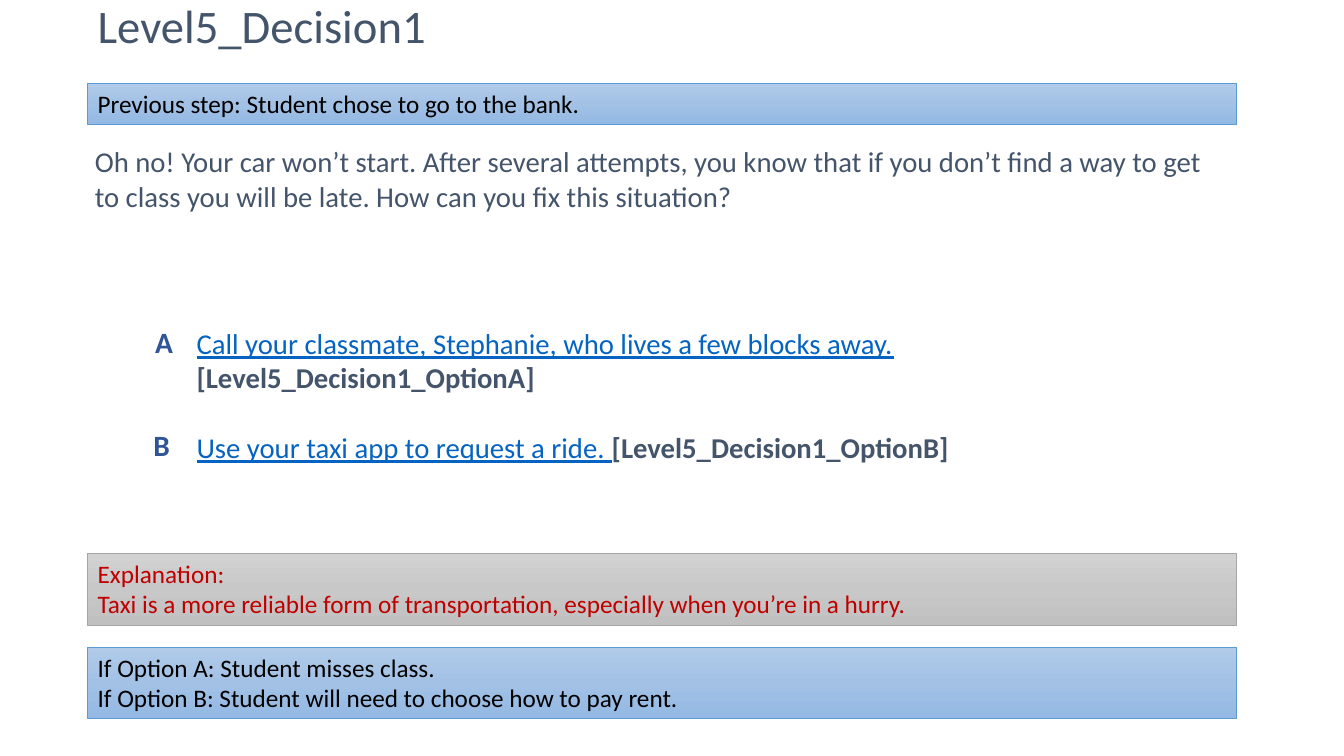
"""Build the Level5_Decision1 slide of a branching student scenario."""
from copy import deepcopy
from dataclasses import dataclass

from pptx import Presentation
from pptx import util as u
from pptx.dml.color import RGBColor
from pptx.enum import shapes, text
from pptx.oxml.ns import qn

COLORS = {
    "slate": "44546A", "link": "0563C1", "letter": "2F5597",
    "black": "000000", "red": "C00000",
    "blue_line": "5B9BD5", "gray_line": "A5A5A5",
}
GRADIENTS = {
    "blue": ("B1CBE9", "A3C1E5", "93B9E4"),
    "gray": ("D2D2D2", "C8C8C8", "C0C0C0"),
}
FONT = "Calibri"
LEFT, WIDTH = 0.87, 11.39
WIDE_INSETS = (0.13, 0.07)


@dataclass(frozen=True)
class Span:
    words: str
    color: str
    bold: bool = False
    underline: bool = False


@dataclass(frozen=True)
class Banner:
    top: float
    height: float
    theme: str
    color: str
    lines: tuple[str, ...]


@dataclass(frozen=True)
class Letter:
    label: str
    left: float
    top: float


BANNERS = (
    Banner(5.49, 0.71, "gray", "red", (
        "Explanation:",
        "Taxi is a more reliable form of transportation, especially when you’re in a hurry.")),
    Banner(6.42, 0.71, "blue", "black", (
        "If Option A: Student misses class.",
        "If Option B: Student will need to choose how to pay rent.")),
    Banner(0.83, 0.4, "blue", "black", (
        "Previous step: Student chose to go to the bank.",)),
)
LETTERS = (Letter("A", 1.41, 3.15), Letter("B", 1.39, 4.17))
OPTIONS = (
    (Span("Call your classmate, Stephanie, who lives a few blocks away.", "link", underline=True),
     Span(" ", "slate"),
     Span("[Level5_Decision1_OptionA]", "slate", bold=True)),
    (Span("Use your taxi app to request a ride. ", "link", underline=True),
     Span("[Level5_Decision1_OptionB]", "slate", bold=True)),
)


def rgb(name: str) -> RGBColor:
    return RGBColor.from_string(COLORS.get(name, name))


def write(holder, paragraphs, *, size: float, insets=(0.1, 0.05),
          anchor=text.MSO_ANCHOR.TOP, gap: float = 0, line_spacing: float = 1.0) -> None:
    frame = holder.text_frame
    frame.word_wrap = True
    frame.vertical_anchor = anchor
    frame.margin_left = frame.margin_right = u.Inches(insets[0])
    frame.margin_top = frame.margin_bottom = u.Inches(insets[1])
    for index, spans in enumerate(paragraphs):
        paragraph = frame.add_paragraph() if index else frame.paragraphs[0]
        paragraph.alignment = text.PP_ALIGN.LEFT
        paragraph.line_spacing = line_spacing
        if index and gap:
            paragraph.space_before = u.Pt(gap)
        for span in spans:
            run = paragraph.add_run()
            run.text = span.words
            run.font.name = FONT
            run.font.size = u.Pt(size)
            run.font.bold = span.bold
            run.font.underline = span.underline
            run.font.color.rgb = rgb(span.color)


def add_text(slide, left: float, top: float, width: float, height: float,
             paragraphs, **style) -> None:
    box = slide.shapes.add_textbox(*map(u.Inches, (left, top, width, height)))
    write(box, paragraphs, **style)


def add_banner(slide, banner: Banner) -> None:
    bar = slide.shapes.add_shape(
        shapes.MSO_SHAPE.RECTANGLE,
        *map(u.Inches, (LEFT, banner.top, WIDTH, banner.height)))
    bar.shadow.inherit = False
    bar.fill.gradient()
    bar.fill.gradient_angle = 270
    first_stop = next(bar._element.iter(qn("a:gs")))
    first_stop.addnext(deepcopy(first_stop))
    for stop, position, color in zip(bar.fill.gradient_stops, (0, 0.5, 1),
                                     GRADIENTS[banner.theme]):
        stop.position = position
        stop.color.rgb = rgb(color)
    bar.line.color.rgb = rgb(f"{banner.theme}_line")
    bar.line.width = u.Pt(0.5)
    write(bar, [(Span(line, banner.color),) for line in banner.lines], size=18)


def main() -> None:
    deck = Presentation()
    deck.slide_width, deck.slide_height = u.Inches(13.33), u.Inches(7.5)
    slide = deck.slides.add_slide(deck.slide_layouts[6])
    add_text(slide, 0.81, 1.36, 11.45, 1.68, [(Span(
        "Oh no! Your car won’t start. After several attempts, you know that if you don’t "
        "find a way to get to class you will be late. How can you fix this situation?",
        "slate"),)], size=20.5, insets=WIDE_INSETS)
    add_text(slide, LEFT, 0.01, WIDTH, 0.55, [(Span("Level5_Decision1", "slate"),)],
             size=33.3, anchor=text.MSO_ANCHOR.MIDDLE, line_spacing=0.9)
    add_text(slide, 1.82, 3.16, 10.44, 1.37, OPTIONS, size=20.5,
             insets=WIDE_INSETS, gap=25.6)
    for letter in LETTERS:
        add_text(slide, letter.left, letter.top, 0.61, 0.5,
                 [(Span(letter.label, "letter", bold=True),)], size=21, insets=WIDE_INSETS)
    for banner in BANNERS:
        add_banner(slide, banner)
    deck.save("out.pptx")


if __name__ == "__main__":
    main()
